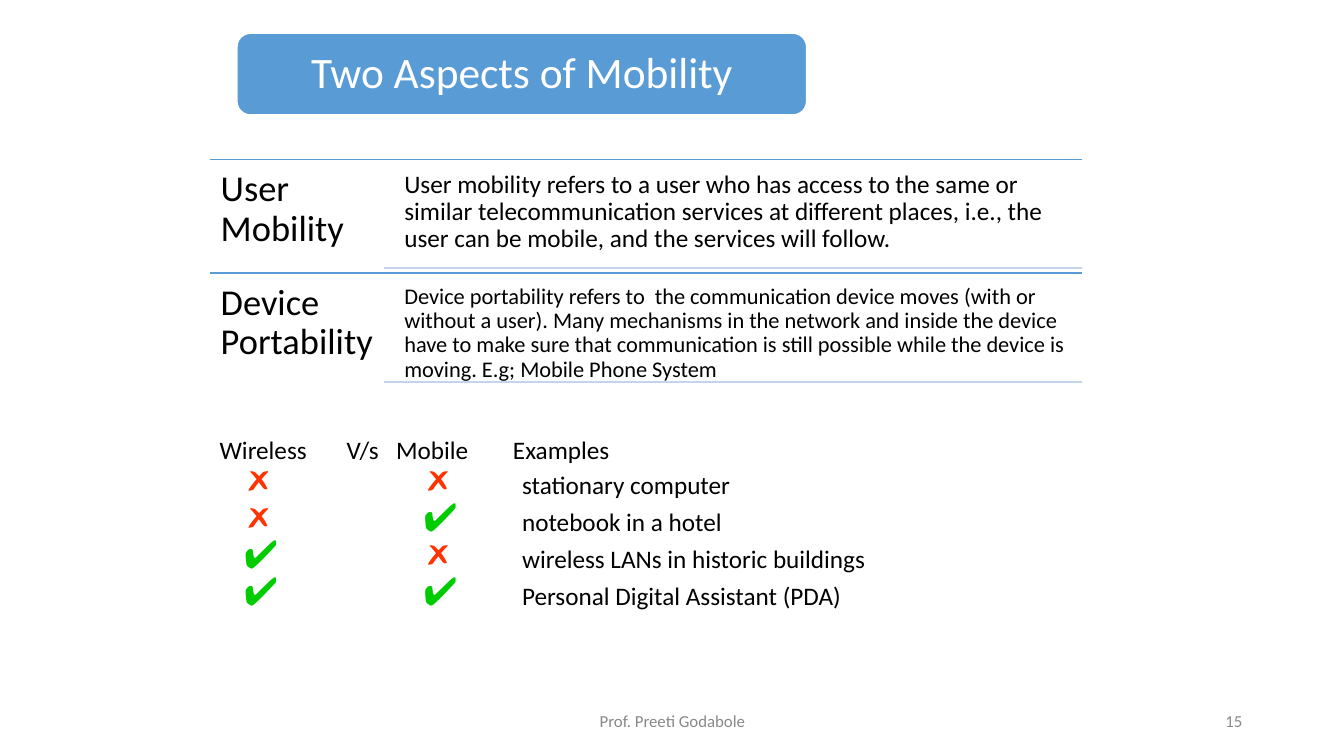
from lxml import etree
from pptx import Presentation
from pptx.dml.color import RGBColor
from pptx.enum.shapes import MSO_CONNECTOR, MSO_SHAPE
from pptx.enum.text import MSO_ANCHOR, PP_ALIGN
from pptx.oxml.ns import qn
from pptx.util import Inches, Pt

COLORS = {
    "blue": "599BD5", "pale": "C3D4EB", "black": "000000", "white": "FFFFFF",
    "gray": "888888", "red": "FF3300", "green": "00CC00",
}

deck = Presentation()
deck.slide_width, deck.slide_height = Inches(13.33), Inches(7.5)
page = deck.slides.add_slide(deck.slide_layouts[6])


def add_span(para, text, size, color):
    span = para.add_run()
    span.text = text
    span.font.size = Pt(size)
    span.font.name = "Calibri"
    span.font.color.rgb = RGBColor.from_string(COLORS[color])


def add_box(left, top, width, height, inset_x, inset_y):
    box = page.shapes.add_textbox(Inches(left), Inches(top), Inches(width), Inches(height))
    frame = box.text_frame
    frame.word_wrap = True
    frame.margin_left = frame.margin_right = Inches(inset_x)
    frame.margin_top = frame.margin_bottom = Inches(inset_y)
    return frame


# Title banner
banner = page.shapes.add_shape(
    MSO_SHAPE.ROUNDED_RECTANGLE, Inches(2.35), Inches(0.33), Inches(5.65), Inches(0.81))
banner.shadow.inherit = False
banner.fill.solid()
banner.fill.fore_color.rgb = RGBColor.from_string(COLORS["blue"])
banner.line.color.rgb = RGBColor.from_string(COLORS["white"])
banner.line.width = Pt(1)
banner.text_frame.vertical_anchor = MSO_ANCHOR.MIDDLE
title = banner.text_frame.paragraphs[0]
title.alignment = PP_ALIGN.CENTER
title.line_spacing = 0.9
add_span(title, "Two Aspects of Mobility", 31, "white")

# Two definitions, each between a blue rule and a pale rule
definitions = [
    ("User Mobility", 18,
     "User mobility refers to a user who has access to the same or similar "
     "telecommunication services at different places, i.e., the user can be mobile, "
     "and the services will follow."),
    ("Device Portability", 16,
     "Device portability refers to  the communication device moves (with or without a "
     "user). Many mechanisms in the network and inside the device have to make sure that "
     "communication is still possible while the device is moving. E.g; Mobile Phone System"),
]
for index, (term, size, meaning) in enumerate(definitions):
    top = 1.58 + 1.13 * index
    for left, y, color in [(2.08, top, "blue"), (3.81, top + 1.08, "pale")]:
        rule = page.shapes.add_connector(
            MSO_CONNECTOR.STRAIGHT, Inches(left), Inches(y), Inches(10.73), Inches(y))
        rule.line.color.rgb = RGBColor.from_string(COLORS[color])
        rule.line.width = Pt(1)
        etree.SubElement(rule._element.spPr, qn("a:effectLst"))
    term_frame = add_box(2.08, top, 1.73, 1.12, 0.11, 0.11)
    meaning_frame = add_box(3.94, top + 0.05, 6.79, 1.02, 0.07, 0.07)
    for frame, text, points in [(term_frame, term, 26), (meaning_frame, meaning, size)]:
        para = frame.paragraphs[0]
        para.line_spacing = 0.9
        add_span(para, text, points, "black")

# Wireless and mobile comparison, aligned with tab stops
HEADER_TABS = [1.26, 1.75, 2.91]
ROW_TABS = [0.24, 2.02, 3.0]
MARK_COLORS = {"🗶": "red", "✔": "green"}
examples = [
    ("🗶", "🗶", "stationary computer"),
    ("🗶", "✔", "notebook in a hotel"),
    ("✔", "🗶", "wireless LANs in historic buildings"),
    ("✔", "✔", "Personal Digital Assistant (PDA)"),
]
comparison = add_box(2.08, 4.32, 6.83, 1.64, 0.1, 0.05)
for index in range(len(examples) + 1):
    para = comparison.paragraphs[0] if index == 0 else comparison.add_paragraph()
    para.line_spacing = 0.79
    tab_list = etree.SubElement(para._p.get_or_add_pPr(), qn("a:tabLst"))
    for stop in ROW_TABS if index else HEADER_TABS:
        etree.SubElement(tab_list, qn("a:tab"), pos=str(Inches(stop)), algn="l")
    if index == 0:
        add_span(para, "Wireless\tV/s\tMobile\tExamples", 18, "black")
        continue
    wireless, mobile, example = examples[index - 1]
    add_span(para, "\t" + wireless, 28, MARK_COLORS[wireless])
    add_span(para, "\t" + mobile + "\t", 28, MARK_COLORS[mobile])
    add_span(para, example, 18, "black")

# Footer and page number
for left, width, alignment, text in [
    (4.42, 4.5, PP_ALIGN.CENTER, "Prof. Preeti Godabole"),
    (9.42, 3, PP_ALIGN.RIGHT, "15"),
]:
    frame = add_box(left, 6.95, width, 0.4, 0.1, 0.05)
    frame.vertical_anchor = MSO_ANCHOR.MIDDLE
    frame.paragraphs[0].alignment = alignment
    add_span(frame.paragraphs[0], text, 12, "gray")

deck.save("out.pptx")
